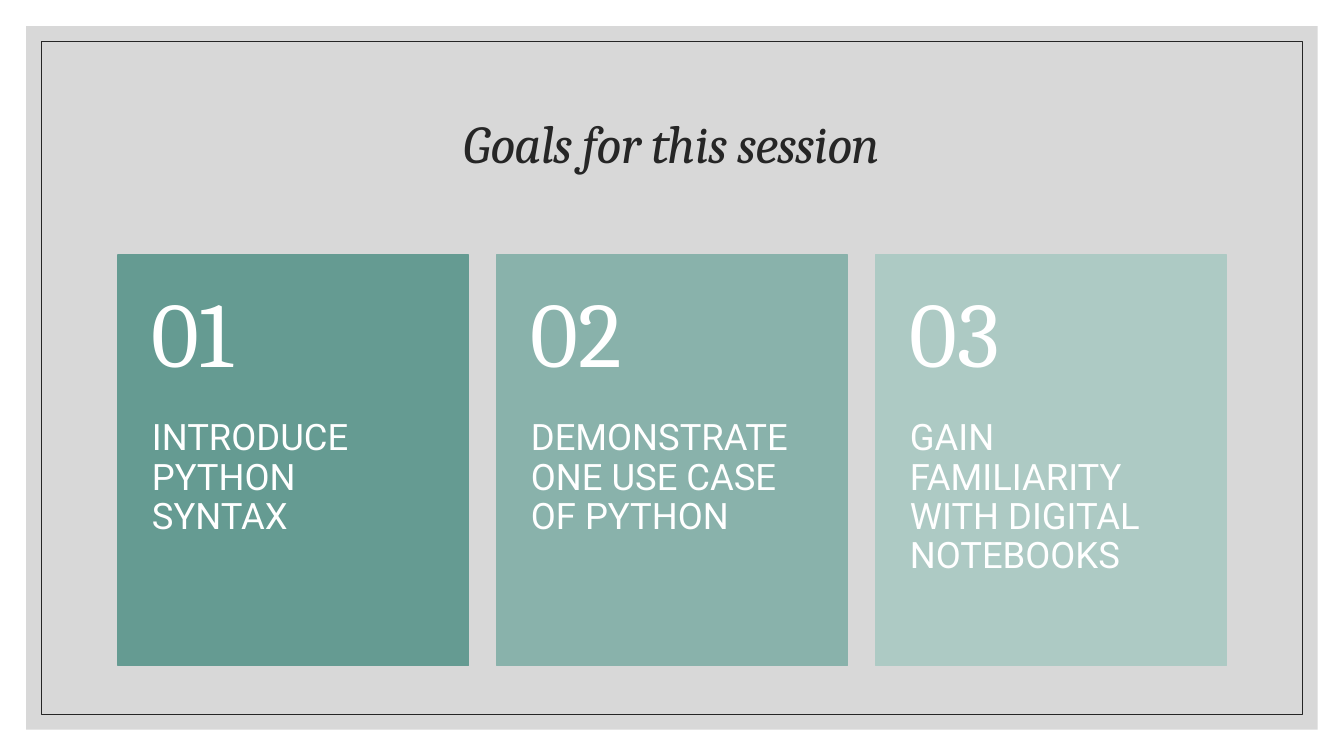
from dataclasses import dataclass

from lxml.etree import SubElement
from pptx import Presentation
from pptx.dml.color import RGBColor
from pptx.enum.shapes import MSO_SHAPE
from pptx.enum.text import MSO_ANCHOR, PP_ALIGN
from pptx.oxml.ns import qn
from pptx.util import Cm, Pt


@dataclass(frozen=True)
class Theme:
    panel: str = "BFBFBF"
    ink: str = "262626"
    white: str = "FFFFFF"
    cards: tuple = ("659B92", "89B2AB", "ADCAC4")
    serif: str = "Cambria"
    sans: str = "Roboto"
    title: int = 38
    number: int = 66
    body: int = 26


THEME = Theme()
GOALS = (
    "INTRODUCE PYTHON SYNTAX",
    "DEMONSTRATE ONE USE CASE OF PYTHON",
    "GAIN FAMILIARITY WITH DIGITAL NOTEBOOKS",
)
WIDTH, HEIGHT = 33.87, 19.05
LEFT, TOP = 2.97, 6.43
CARD_W, CARD_H, GAP = 8.84, 10.34, 0.71
HEAD_H = 4.14


def add_rect(slide, box, fill=None, line=None, weight=1):
    rect = slide.shapes.add_shape(MSO_SHAPE.RECTANGLE, *map(Cm, box))
    rect.shadow.inherit = False
    if fill:
        rect.fill.solid()
        rect.fill.fore_color.rgb = RGBColor.from_string(fill)
    else:
        rect.fill.background()
    if line:
        rect.line.color.rgb = RGBColor.from_string(line)
        rect.line.width = Pt(weight)
    else:
        rect.line.fill.background()
    return rect


def set_alpha(shape, percent):
    """Set the opacity of a solid fill."""
    color = shape.element.spPr.find(qn("a:solidFill"))[0]
    SubElement(color, qn("a:alpha")).set("val", str(percent * 1000))


def add_text(slide, box, text, font, size, color, insets,
             anchor=MSO_ANCHOR.MIDDLE, align=PP_ALIGN.LEFT):
    """Add wrapped text; insets run left, top, right, bottom. Return its run."""
    frame = slide.shapes.add_textbox(*map(Cm, box)).text_frame
    frame.word_wrap = True
    frame.vertical_anchor = anchor
    (frame.margin_left, frame.margin_top,
     frame.margin_right, frame.margin_bottom) = map(Cm, insets)
    frame.text = text
    para = frame.paragraphs[0]
    para.alignment = align
    para.line_spacing = 0.9
    run = para.runs[0]
    run.font.name = font
    run.font.size = Pt(size)
    run.font.color.rgb = RGBColor.from_string(color)
    return run


def add_frame(slide):
    for inset, style in ((0.66, {"fill": THEME.panel}),
                         (1.04, {"line": THEME.ink, "weight": 0.5})):
        box = (inset, inset, WIDTH - 2 * inset, HEIGHT - 2 * inset)
        rect = add_rect(slide, box, **style)
        if "fill" in style:
            set_alpha(rect, 60)


def add_title(slide, text):
    run = add_text(slide, (LEFT, 1.78, WIDTH - 2 * LEFT, 3.81), text,
                   THEME.serif, THEME.title, THEME.ink,
                   (0.25, 0.13, 0.25, 0.13), align=PP_ALIGN.CENTER)
    run.font.italic = True
    run.font._element.set("spc", "-70")


def add_card(slide, index, goal, color):
    left = LEFT + index * (CARD_W + GAP)
    add_rect(slide, (left, TOP, CARD_W, CARD_H), color, color)
    add_text(slide, (left, TOP + HEAD_H, CARD_W, CARD_H - HEAD_H), goal,
             THEME.sans, THEME.body, THEME.white, (0.86, 0, 0.86, 0.91),
             anchor=MSO_ANCHOR.TOP)
    add_text(slide, (left, TOP, CARD_W, HEAD_H), f"{index + 1:02}",
             THEME.serif, THEME.number, THEME.white,
             (0.86, 0.46, 0.86, 0.46))


def main():
    deck = Presentation()
    deck.slide_width, deck.slide_height = Cm(WIDTH), Cm(HEIGHT)
    slide = deck.slides.add_slide(deck.slide_layouts[6])
    add_frame(slide)
    add_title(slide, "Goals for this session")
    for index, (goal, color) in enumerate(zip(GOALS, THEME.cards)):
        add_card(slide, index, goal, color)
    deck.save("out.pptx")


if __name__ == "__main__":
    main()
